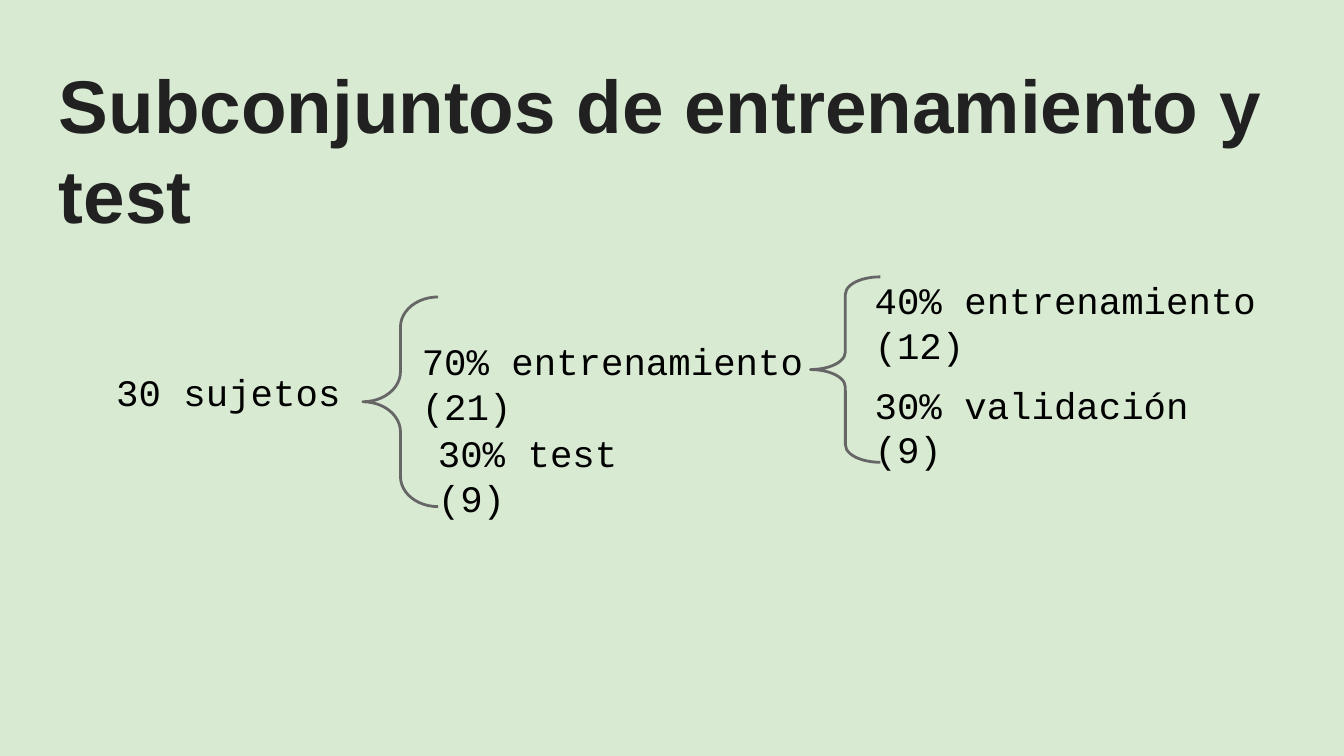
"""Build a slide that splits subjects into training and test subsets with braces."""
import dataclasses

import pptx
import pptx.dml.color
import pptx.enum.shapes
import pptx.enum.text
import pptx.util

MINT = pptx.dml.color.RGBColor(0xD9, 0xEA, 0xD3)
INK = pptx.dml.color.RGBColor(0x21, 0x21, 0x21)
BLACK = pptx.dml.color.RGBColor(0, 0, 0)
GREY = pptx.dml.color.RGBColor(0x66, 0x66, 0x66)
WIDE = pptx.util.Inches(10)
HIGH = WIDE * 9 // 16
LEFT = pptx.enum.text.PP_ALIGN.LEFT
MID = pptx.enum.text.PP_ALIGN.CENTER


@dataclasses.dataclass(frozen=True)
class Box:
    """Hold a frame in percent of the slide's width and height."""
    x: float
    y: float
    w: float
    h: float

    def frame(self) -> tuple[int, int, int, int]:
        """Return left, top, width and height as lengths."""
        return (int(WIDE * self.x / 100), int(HIGH * self.y / 100),
                int(WIDE * self.w / 100), int(HIGH * self.h / 100))


@dataclasses.dataclass(frozen=True)
class Label:
    """Hold the lines of a label and its place."""
    lines: tuple[str, ...]
    box: Box
    align: pptx.enum.text.PP_ALIGN = LEFT


@dataclasses.dataclass(frozen=True)
class Brace:
    """Hold the place and curl of a left brace."""
    box: Box
    curl: float


TITLE = Label(("Subconjuntos de entrenamiento y test",), Box(3.4, 6.04, 93.2, 14.58))
LABELS = (
    Label(("30 sujetos",), Box(2.5, 47.11, 29, 11.91), MID),
    Label(("70% entrenamiento", "(21)"), Box(30.4, 43.02, 33.4, 7.29)),
    Label(("30% test", "(9)"), Box(31.6, 55.11, 25.1, 6.04)),
    Label(("40% entrenamiento (12)",), Box(64.1, 34.84, 33.4, 14.58)),
    Label(("30% validación", "(9)"), Box(64.1, 48.71, 29, 6.04)),
)
BRACES = (
    Brace(Box(27, 39.29, 5.6, 27.73), 0.4),
    Brace(Box(60.3, 36.62, 5.2, 24.53), 0.25),
)


def write(slide, label: Label, *, font: str = "Courier New", size: float = 20,
          color: pptx.dml.color.RGBColor = BLACK, bold: bool = False) -> None:
    """Write a label as a text box in the given format."""
    frame = slide.shapes.add_textbox(*label.box.frame()).text_frame
    frame.word_wrap = True
    frame.margin_left = frame.margin_right = pptx.util.Inches(0.1)
    frame.margin_top = frame.margin_bottom = pptx.util.Inches(0.1)
    frame.text = "\n".join(label.lines)
    for para in frame.paragraphs:
        para.alignment = label.align
        for run in para.runs:
            run.font.name = font
            run.font.size = pptx.util.Pt(size)
            run.font.bold = bold
            run.font.color.rgb = color


def draw(slide, brace: Brace) -> None:
    """Draw a left brace as an outline."""
    kind = pptx.enum.shapes.MSO_SHAPE.LEFT_BRACE
    shape = slide.shapes.add_shape(kind, *brace.box.frame())
    shape.shadow.inherit = False
    shape.adjustments[0] = brace.curl
    shape.adjustments[1] = 0.5
    shape.fill.background()
    shape.line.color.rgb = GREY
    shape.line.width = pptx.util.Pt(1.5)


def main() -> None:
    """Build the slide and save it."""
    deck = pptx.Presentation()
    deck.slide_width = WIDE
    deck.slide_height = HIGH
    slide = deck.slides.add_slide(deck.slide_layouts[6])
    slide.background.fill.solid()
    slide.background.fill.fore_color.rgb = MINT
    write(slide, TITLE, font="Arial", size=40, color=INK, bold=True)
    for brace in BRACES:
        draw(slide, brace)
    for label in LABELS:
        write(slide, label)
    deck.save("out.pptx")


if __name__ == "__main__":
    main()
